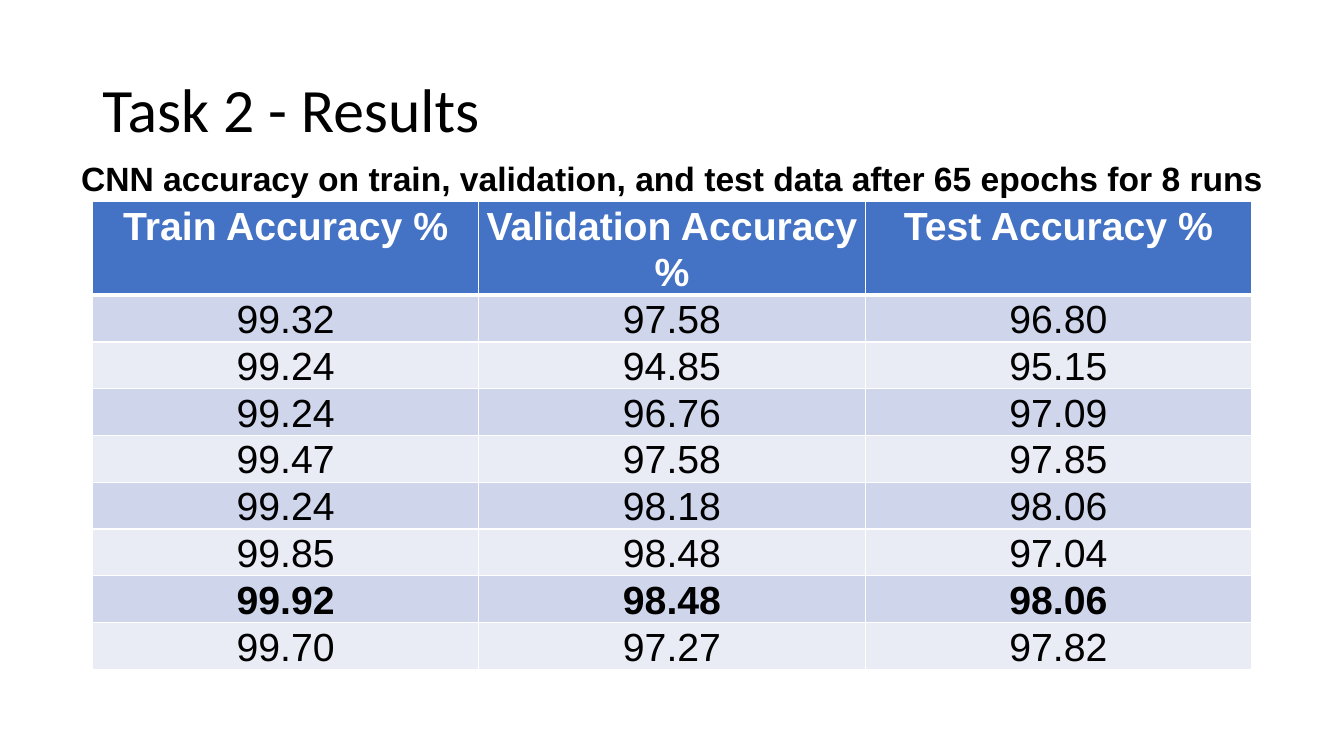
from dataclasses import dataclass

from lxml import etree
from pptx import Presentation
from pptx import util as u
from pptx.dml import color
from pptx.enum import text
from pptx.oxml import ns

PX = 9525  # EMU per px, 96 px to the inch


@dataclass(frozen=True)
class Theme:
    ink: str = "000000"
    paper: str = "FFFFFF"
    header: str = "4472C4"
    bands: tuple = ("CFD5EA", "E9EBF5")
    title_font: str = "Calibri"
    body_font: str = "Arial"
    title_size: int = 44
    caption_size: int = 24
    cell_size: int = 28
    rule: int = 1
    header_rule: int = 3


THEME = Theme()
HEADINGS = ("Train Accuracy %", "Validation Accuracy %", "Test Accuracy %")
RUNS = (
    ("99.32", "97.58", "96.80"),
    ("99.24", "94.85", "95.15"),
    ("99.24", "96.76", "97.09"),
    ("99.47", "97.58", "97.85"),
    ("99.24", "98.18", "98.06"),
    ("99.85", "98.48", "97.04"),
    ("99.92", "98.48", "98.06"),
    ("99.70", "97.27", "97.82"),
)
BEST_RUN = 7


def px(*lengths):
    return [u.Emu(length * PX) for length in lengths]


def write(frame, words, size, font=THEME.body_font, ink=THEME.ink, bold=False,
          align=text.PP_ALIGN.CENTER, spacing=1.07, after=0):
    para = frame.paragraphs[0]
    para.alignment = align
    para.line_spacing = spacing
    para.space_before, para.space_after = u.Pt(0), u.Pt(after)
    span = para.add_run()
    span.text = words
    span.font.name, span.font.size, span.font.bold = font, u.Pt(size), bold
    span.font.color.rgb = color.RGBColor.from_string(ink)


def add_title(page, box, words):
    title = page.shapes.title
    title.left, title.top, title.width, title.height = px(*box)
    frame = title.text_frame
    frame.auto_size = text.MSO_AUTO_SIZE.NONE
    frame.vertical_anchor = text.MSO_ANCHOR.MIDDLE
    write(frame, words, THEME.title_size, font=THEME.title_font,
          align=text.PP_ALIGN.LEFT, spacing=0.9)


def add_caption(page, box, words):
    frame = page.shapes.add_textbox(*px(*box)).text_frame
    frame.word_wrap = True
    frame.auto_size = text.MSO_AUTO_SIZE.SHAPE_TO_FIT_TEXT
    write(frame, words, THEME.caption_size, bold=True, after=8)


def set_borders(cell, top, bottom):
    # Borders come first in the cell properties, in this order
    widths = {"lnL": THEME.rule, "lnR": THEME.rule, "lnT": top, "lnB": bottom}
    properties = cell._tc.get_or_add_tcPr()
    for place, (tag, width) in enumerate(widths.items()):
        line = etree.Element(ns.qn(f"a:{tag}"), w=str(u.Pt(width)))
        fill = etree.SubElement(line, ns.qn("a:solidFill"))
        etree.SubElement(fill, ns.qn("a:srgbClr"), val=THEME.paper)
        properties.insert(place, line)


def add_results(page, box, headings, runs):
    rows = (headings, *runs)
    table = page.shapes.add_table(len(rows), len(headings), *px(*box)).table
    for column in table.columns:
        column.width = u.Emu(box[2] * PX // len(headings))
    for number, values in enumerate(rows):
        is_header = number == 0
        fill = THEME.header if is_header else THEME.bands[(number - 1) % 2]
        top = THEME.header_rule if number == 1 else THEME.rule
        bottom = THEME.header_rule if is_header else THEME.rule
        for cell, value in zip(table.rows[number].cells, values):
            cell.margin_left, cell.margin_right = px(7, 7)
            cell.margin_top, cell.margin_bottom = px(0, 0)
            cell.fill.solid()
            cell.fill.fore_color.rgb = color.RGBColor.from_string(fill)
            set_borders(cell, top, bottom)
            write(cell.text_frame, value, THEME.cell_size,
                  ink=THEME.paper if is_header else THEME.ink,
                  bold=is_header or number == BEST_RUN)


def main():
    deck = Presentation()
    deck.slide_width, deck.slide_height = px(1280, 720)
    page = deck.slides.add_slide(deck.slide_layouts.get_by_name("Title Only"))

    # Title, results table and the caption above it
    add_title(page, (88, 38, 1104, 139), "Task 2 - Results")
    add_results(page, (88, 192, 1104, 351), HEADINGS, RUNS)
    add_caption(page, (59, 143, 1162, 49),
                "CNN accuracy on train, validation, and test data "
                "after 65 epochs for 8 runs")
    deck.save("out.pptx")


if __name__ == "__main__":
    main()
